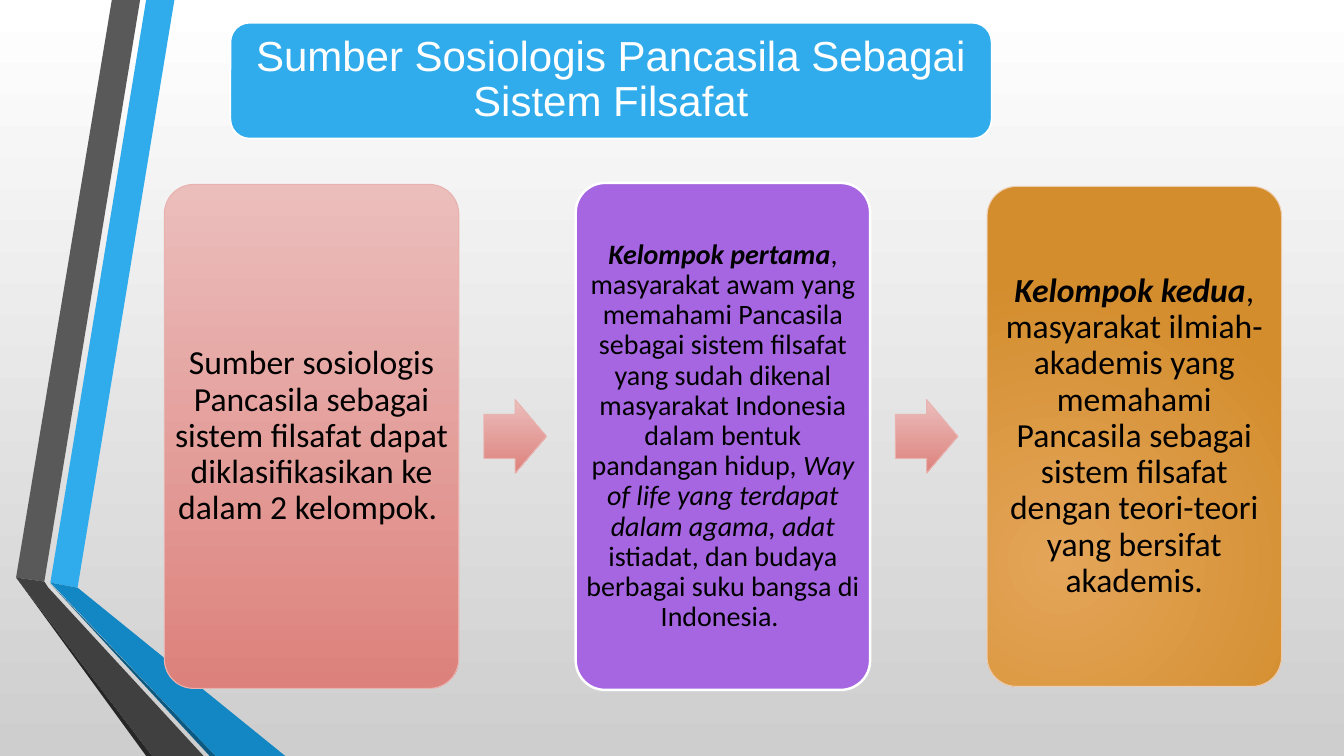
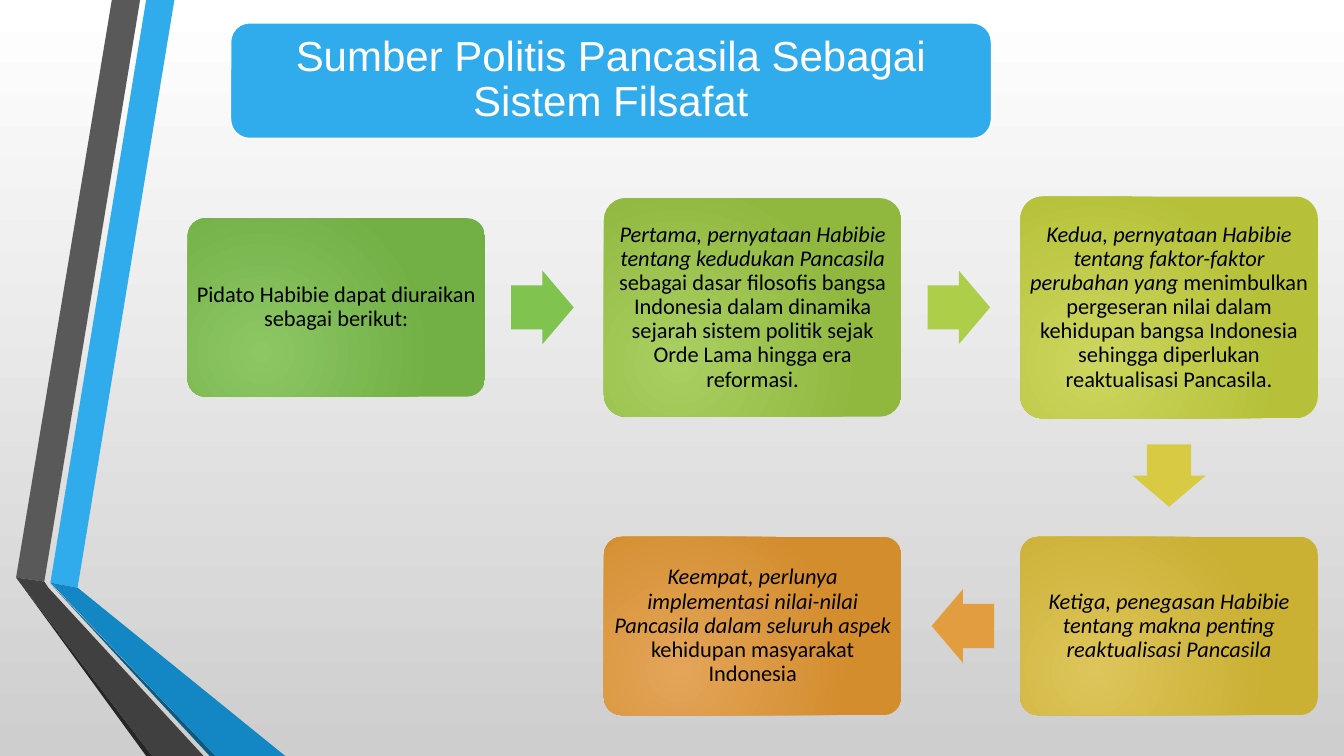
from pptx import Presentation
from pptx import util as u
from pptx.dml.color import RGBColor
from pptx.enum import shapes, text
from pptx.oxml import parse_xml
from pptx.oxml.ns import nsdecls

WIDTH, HEIGHT = 13.33, 7.5
SKY, WHITE, BLACK = "30ACEC", "FFFFFF", "000000"
PINK = ("linear", "EBBEBC", "DD817C")
PINK_EDGE = ("E8B2AF", 0.75)
ORANGE = ("radial", "E4A559", "D38D2D")
BACKDROP = ("linear", WHITE, "CECECE")
BANDS = [
    (SKY, [(0.5, 5.78), (0.77, 5.83), (1.73, 0), (1.45, 0)]),
    ("595959", [(1.39, 0), (1.11, 0), (0.16, 5.73), (0.44, 5.77)]),
    ("262626", [(0.16, 5.73), (1.45, 7.5), (1.51, 7.5)]),
    ("0C5A82", [(0.5, 5.79), (2.08, 7.5), (2.14, 7.5)]),
    ("1287C3", [(0.5, 5.78), (2.14, 7.5), (2.83, 7.5), (0.77, 5.83)]),
    ("404040", [(2.02, 7.5), (0.48, 5.83), (0.44, 5.77), (0.16, 5.73), (1.51, 7.5)]),
]
CORNER_INSET = 0.29
ARROW_SIZE = (0.62, 0.73)
ARROW_LAG = 0.02


def colour(value):
    return RGBColor.from_string(value)


def paint(fill, style):
    if isinstance(style, str):
        fill.solid()
        fill.fore_color.rgb = colour(style)
        return
    kind, start, end = style
    fill.gradient()
    fill.gradient_angle = 270
    for stop, value in zip(fill.gradient_stops, (start, end)):
        stop.color.rgb = colour(value)


def make_radial(shape):
    linear = shape._element.spPr.find(".//{*}gradFill/{*}lin")
    linear.getparent().replace(linear, parse_xml(
        f'<a:path {nsdecls("a")} path="circle">'
        '<a:fillToRect l="50000" t="100000" r="100000" b="50000"/></a:path>'))


def gap_middle(start_a, size_a, start_b, size_b):
    edges = sorted([start_a, start_a + size_a, start_b, start_b + size_b])
    return (edges[1] + edges[2]) / 2 / u.Inches(1)


class Flow:
    """Draws flow slides whose cards sit on a grid of columns and rows."""

    def __init__(self):
        self.deck = Presentation()
        self.deck.slide_width = u.Inches(WIDTH)
        self.deck.slide_height = u.Inches(HEIGHT)

    def new_slide(self, title, left, pitch, card_width, rows, size, pad):
        self.left, self.pitch, self.card_width = left, pitch, card_width
        self.rows, self.size, self.pad = rows, size, pad
        self.slide = self.deck.slides.add_slide(self.deck.slide_layouts[6])
        paint(self.slide.background.fill, BACKDROP)
        for fill, points in BANDS:
            self.band(fill, points)
        box = self.shape("ROUNDED_RECTANGLE", 6.06, 0.8, 7.55, 1.15, SKY, (WHITE, 1.25))
        self.label(box, [(title, "")], 30, "Arial", WHITE, 0.12)

    def finish(self, shape, fill, edge=None):
        shape.shadow.inherit = False
        paint(shape.fill, fill)
        if fill[0] == "radial":
            make_radial(shape)
        if edge:
            shape.line.color.rgb = colour(edge[0])
            shape.line.width = u.Pt(edge[1])
        else:
            shape.line.fill.background()

    def band(self, fill, points):
        corners = [(u.Inches(x), u.Inches(y)) for x, y in points]
        builder = self.slide.shapes.build_freeform(*corners[0])
        builder.add_line_segments(corners[1:], close=True)
        self.finish(builder.convert_to_shape(), fill)

    def shape(self, kind, centre_x, centre_y, width, height, fill, edge=None):
        shape = self.slide.shapes.add_shape(
            shapes.MSO_SHAPE[kind],
            u.Inches(centre_x - width / 2), u.Inches(centre_y - height / 2),
            u.Inches(width), u.Inches(height))
        self.finish(shape, fill, edge)
        return shape

    def label(self, box, spans, size, font, ink, pad):
        frame = box.text_frame
        frame.word_wrap = True
        frame.vertical_anchor = text.MSO_ANCHOR.MIDDLE
        rounding = CORNER_INSET * box.adjustments[0] * min(box.width, box.height)
        inset = max(0, int(u.Inches(pad) - rounding))
        frame.margin_left = frame.margin_right = inset
        frame.margin_top = frame.margin_bottom = inset
        para = frame.paragraphs[0]
        para.alignment = text.PP_ALIGN.CENTER
        para.line_spacing = 0.9
        for words, style in spans:
            span = para.add_run()
            span.text = words
            span.font.size = u.Pt(size)
            span.font.name = font
            span.font.color.rgb = colour(ink)
            span.font.bold = "b" in style
            span.font.italic = "i" in style

    def card(self, column, row, height, fill, spans, edge=None, size=None):
        centre_x = self.left + column * self.pitch + self.card_width / 2
        box = self.shape("ROUNDED_RECTANGLE", centre_x, self.rows[row],
                         self.card_width, height, fill, edge)
        box.adjustments[0] = 0.1
        self.label(box, spans, size or self.size, "Calibri", BLACK, self.pad)
        return box

    def arrow(self, source, target, direction, fill, edge=None):
        across, down = direction
        centre_x = gap_middle(source.left, source.width, target.left, target.width)
        centre_y = gap_middle(source.top, source.height, target.top, target.height)
        arrow = self.shape("RIGHT_ARROW", centre_x - across * ARROW_LAG,
                           centre_y - down * ARROW_LAG, *ARROW_SIZE, fill, edge)
        arrow.adjustments[0], arrow.adjustments[1] = 0.6, 0.5
        arrow.rotation = {(1, 0): 0, (0, 1): 90, (-1, 0): 180}[direction]


def sociological_source(flow):
    flow.new_slide("Sumber Sosiologis Pancasila Sebagai Sistem Filsafat",
                   left=1.63, pitch=4.08, card_width=2.92, rows=[4.33], size=24, pad=0.1)
    intro = flow.card(0, 0, 5, PINK, [
        ("Sumber sosiologis Pancasila sebagai sistem filsafat dapat "
         "diklasifikasikan ke dalam 2 kelompok. ", "")], PINK_EDGE)
    first = flow.card(1, 0, 5.03, "A666E1", [
        ("Kelompok pertama", "bi"),
        (", masyarakat awam yang memahami Pancasila sebagai sistem filsafat yang sudah "
         "dikenal masyarakat Indonesia dalam bentuk pandangan hidup, ", ""),
        ("Way of life yang terdapat dalam agama, adat ", "i"),
        ("istiadat, dan budaya berbagai suku bangsa di Indonesia. ", "")],
        (WHITE, 1.75), size=20)
    second = flow.card(2, 0, 4.96, ORANGE, [
        ("Kelompok kedua", "bi"),
        (", masyarakat ilmiah-akademis yang memahami Pancasila sebagai sistem filsafat "
         "dengan teori-teori yang bersifat akademis.", "")], ("EECCAF", 0.75))
    for source, target in ((intro, first), (first, second)):
        flow.arrow(source, target, (1, 0), PINK, PINK_EDGE)


def political_source(flow):
    flow.new_slide("Sumber Politis Pancasila Sebagai Sistem Filsafat",
                   left=1.86, pitch=4.13, card_width=2.95, rows=[3.05, 6.21],
                   size=16, pad=0.07)
    cards = [flow.card(column, row, height, ("radial", start, end), spans)
             for column, row, height, start, end, spans in [
        (0, 0, 1.77, "8CC764", "72AF45", [
            ("Pidato Habibie dapat diuraikan sebagai berikut:", "")]),
        (1, 0, 2.17, "A9CF61", "90B83F", [
            ("Pertama, pernyataan Habibie tentang kedudukan Pancasila ", "i"),
            ("sebagai dasar filosofis bangsa Indonesia dalam dinamika sejarah sistem "
             "politik sejak Orde Lama hingga era reformasi.", "")]),
        (2, 0, 2.2, "CCD65E", "B6C139", [
            ("Kedua, pernyataan Habibie tentang faktor-faktor perubahan yang ", "i"),
            ("menimbulkan pergeseran nilai dalam kehidupan bangsa Indonesia sehingga "
             "diperlukan reaktualisasi Pancasila.", "")]),
        (2, 1, 1.77, "DDC55B", "CAB033", [
            ("Ketiga, penegasan Habibie tentang makna penting reaktualisasi Pancasila",
             "i")]),
        (1, 1, 1.77, *ORANGE[1:], [
            ("Keempat, perlunya implementasi nilai-nilai Pancasila dalam seluruh aspek ",
             "i"),
            ("kehidupan masyarakat Indonesia", "")]),
    ]]
    steps = [((1, 0), "80C34F"), ((1, 0), "ADCE49"), ((0, 1), "D8CB43"),
             ((-1, 0), "E29D3E")]
    for source, target, (direction, fill) in zip(cards, cards[1:], steps):
        flow.arrow(source, target, direction, fill)


def main():
    flow = Flow()
    sociological_source(flow)
    political_source(flow)
    flow.deck.save("out.pptx")


if __name__ == "__main__":
    main()
